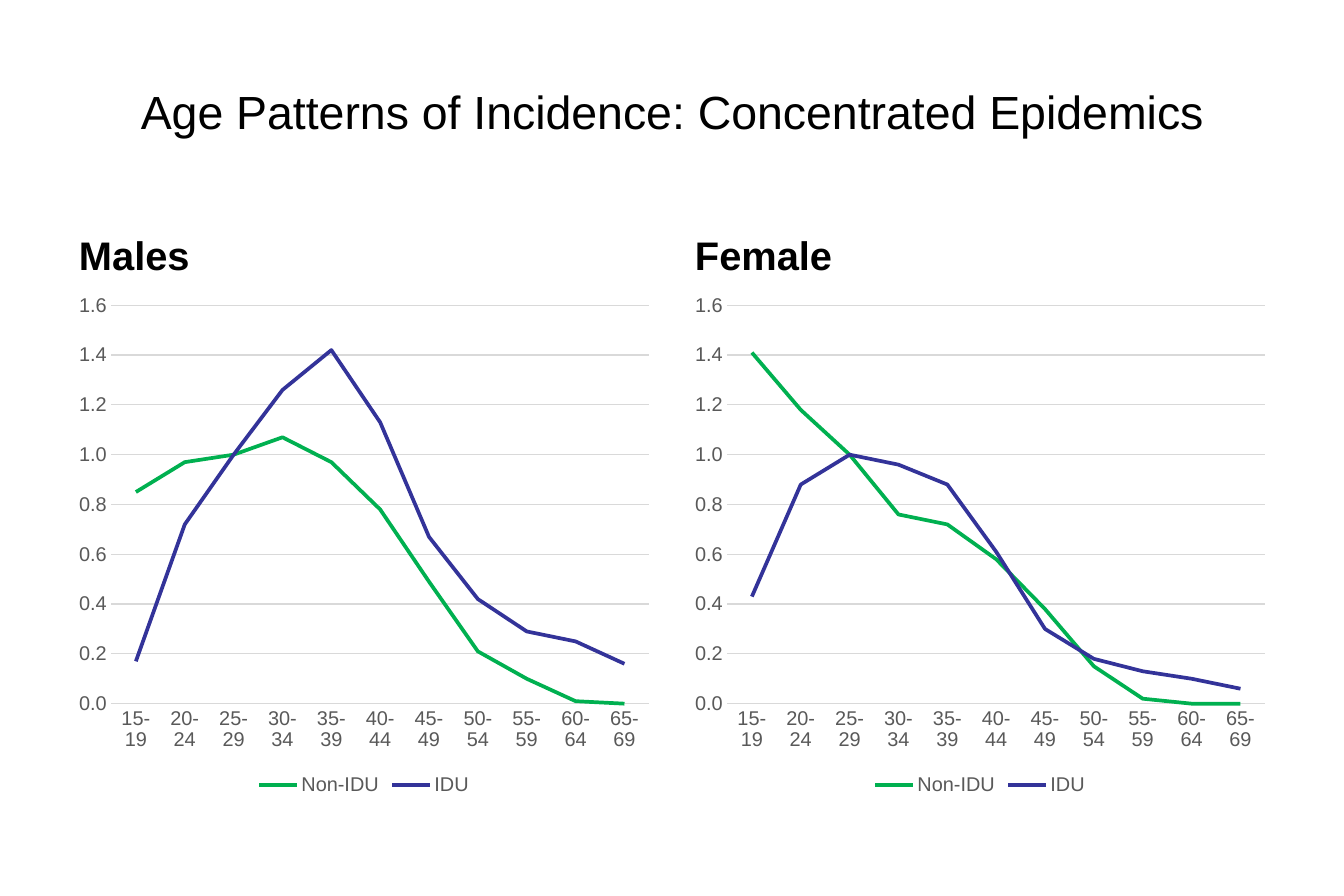
from pptx import Presentation
from pptx.chart.data import CategoryChartData
from pptx.dml.color import RGBColor
from pptx.enum.chart import XL_CHART_TYPE, XL_LEGEND_POSITION, XL_MARKER_STYLE, XL_TICK_MARK
from pptx.enum.text import MSO_ANCHOR, PP_ALIGN
from pptx.util import Pt

LINE_CHART = XL_CHART_TYPE.LINE
LEGEND_BOTTOM = XL_LEGEND_POSITION.BOTTOM
NO_MARKER = XL_MARKER_STYLE.NONE
NO_TICK = XL_TICK_MARK.NONE
ANCHOR_MIDDLE, ANCHOR_BOTTOM = MSO_ANCHOR.MIDDLE, MSO_ANCHOR.BOTTOM
CENTER = PP_ALIGN.CENTER

BLACK = RGBColor(0x00, 0x00, 0x00)
WHITE = RGBColor(0xFF, 0xFF, 0xFF)
GRAY = RGBColor(0x59, 0x59, 0x59)
LIGHT_GRAY = RGBColor(0xD9, 0xD9, 0xD9)
GREEN = RGBColor(0x00, 0xB0, 0x50)
BLUE = RGBColor(0x33, 0x33, 0x99)
FONT = "Arial"

MARGIN = 40.5
PANEL_WIDTH = 357.75
PANEL_STEP = 371.25
HEADING_TOP, HEADING_HEIGHT = 121, 50.4
CHART_TOP, CHART_HEIGHT = 171.4, 311

AGE_GROUPS = [f"{age}-{age + 4}" for age in range(15, 70, 5)]
SERIES_COLORS = {"Non-IDU": GREEN, "IDU": BLUE}
PANELS = {
    "Males": {
        "Non-IDU": (0.85, 0.97, 1, 1.07, 0.97, 0.78, 0.49, 0.21, 0.1, 0.01, 0),
        "IDU": (0.17, 0.72, 1, 1.26, 1.42, 1.13, 0.67, 0.42, 0.29, 0.25, 0.16),
    },
    "Female": {
        "Non-IDU": (1.41, 1.18, 1, 0.76, 0.72, 0.58, 0.38, 0.15, 0.02, 0, 0),
        "IDU": (0.43, 0.88, 1, 0.96, 0.88, 0.61, 0.3, 0.18, 0.13, 0.1, 0.06),
    },
}


def set_font(font, size, color, bold=False):
    font.name = FONT
    font.size = Pt(size)
    font.bold = bold
    font.color.rgb = color


presentation = Presentation()
presentation.slide_width = Pt(810)
presentation.slide_height = Pt(540)
slide = presentation.slides.add_slide(presentation.slide_layouts[5])
slide.background.fill.solid()
slide.background.fill.fore_color.rgb = WHITE

# Title
title = slide.shapes.title
title.left, title.top = Pt(MARGIN), Pt(21.6)
title.width, title.height = Pt(810 - 2 * MARGIN), Pt(90)
title.text_frame.text = "Age Patterns of Incidence: Concentrated Epidemics"
title.text_frame.vertical_anchor = ANCHOR_MIDDLE
title.text_frame.paragraphs[0].alignment = CENTER
set_font(title.text_frame.paragraphs[0].runs[0].font, 28, BLACK)

for index, (heading, incidence) in enumerate(PANELS.items()):
    left = Pt(MARGIN + index * PANEL_STEP)

    # Panel heading
    heading_box = slide.shapes.add_textbox(
        left, Pt(HEADING_TOP), Pt(PANEL_WIDTH), Pt(HEADING_HEIGHT))
    text_frame = heading_box.text_frame
    text_frame.word_wrap = True
    text_frame.vertical_anchor = ANCHOR_BOTTOM
    text_frame.text = heading
    set_font(text_frame.paragraphs[0].runs[0].font, 24, BLACK, bold=True)

    # Line chart
    chart_data = CategoryChartData()
    chart_data.categories = AGE_GROUPS
    for name, values in incidence.items():
        chart_data.add_series(name, values)
    chart = slide.shapes.add_chart(
        LINE_CHART, left, Pt(CHART_TOP), Pt(PANEL_WIDTH), Pt(CHART_HEIGHT),
        chart_data).chart
    set_font(chart.font, 10, BLACK)
    chart.has_title = False
    chart.has_legend = True
    chart.legend.position = LEGEND_BOTTOM
    chart.legend.include_in_layout = False
    set_font(chart.legend.font, 12, GRAY)

    # Axes and gridlines
    category_axis, value_axis = chart.category_axis, chart.value_axis
    for axis in (category_axis, value_axis):
        axis.major_tick_mark = NO_TICK
        axis.minor_tick_mark = NO_TICK
        set_font(axis.tick_labels.font, 12, GRAY)
    value_axis.has_major_gridlines = True
    for line in (category_axis.format.line, value_axis.major_gridlines.format.line):
        line.color.rgb = LIGHT_GRAY
        line.width = Pt(0.75)
    value_axis.format.line.fill.background()
    value_axis.minimum_scale, value_axis.maximum_scale = 0, 1.6
    value_axis.major_unit = 0.2
    value_axis.tick_labels.number_format = "#,##0.0"
    value_axis.tick_labels.number_format_is_linked = False

    # Series lines
    chart.plots[0].vary_by_categories = False
    for series in chart.plots[0].series:
        series.smooth = False
        series.marker.style = NO_MARKER
        series.format.line.color.rgb = SERIES_COLORS[series.name]
        series.format.line.width = Pt(2.25)

presentation.save("out.pptx")
